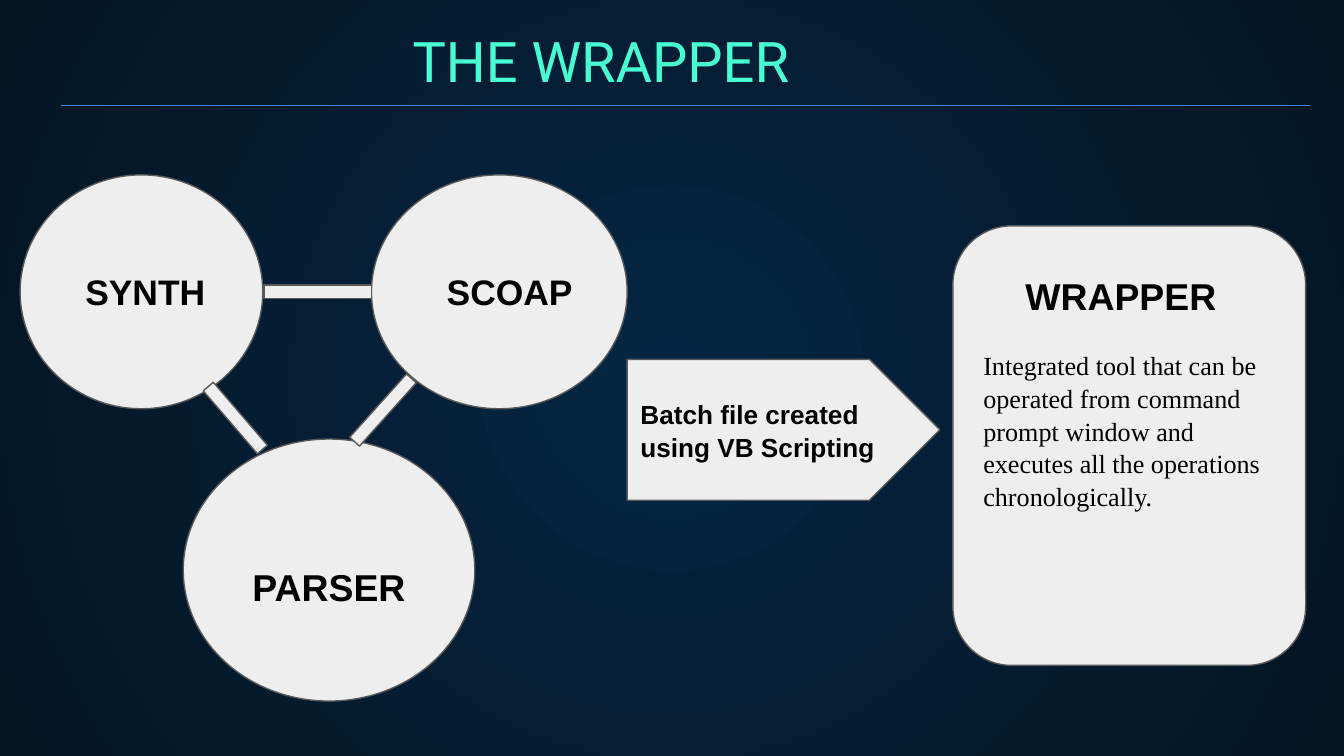
from lxml import etree
from pptx import Presentation
from pptx.dml.color import RGBColor
from pptx.enum.shapes import MSO_CONNECTOR, MSO_SHAPE
from pptx.enum.text import MSO_ANCHOR, PP_ALIGN
from pptx.oxml.ns import qn
from pptx.util import Pt

MINT = RGBColor(0x48, 0xFF, 0xD4)
BLUE = RGBColor(0x4A, 0x86, 0xE8)
NAVY = RGBColor(0x05, 0x26, 0x43)
MIDNIGHT = RGBColor(0x04, 0x15, 0x23)
PALE = RGBColor(0xEE, 0xEE, 0xEE)
GREY = RGBColor(0x59, 0x59, 0x59)
BLACK = RGBColor(0, 0, 0)
INSET = 7.2


def paint_background(slide):
    """Fill the slide with a gradient that darkens outward from the centre."""
    fill = slide.background.fill
    fill.gradient()
    for stop, color in zip(fill.gradient_stops, (NAVY, MIDNIGHT)):
        stop.color.rgb = color
    linear = next(slide.background._cSld.iter(qn("a:lin")))
    radial = etree.Element(qn("a:path"), path="circle")
    etree.SubElement(radial, qn("a:fillToRect"), l="50000", t="50000", r="50000", b="50000")
    linear.getparent().replace(linear, radial)


def format_paragraph(paragraph, size, font_name="Arial", bold=True, color=BLACK,
                     align=PP_ALIGN.LEFT):
    """Set the alignment of a paragraph and the font of its runs."""
    paragraph.alignment = align
    for run in paragraph.runs:
        run.font.name = font_name
        run.font.size = Pt(size)
        run.font.bold = bold
        run.font.color.rgb = color


def set_margins(text_frame, left=INSET, top=INSET, right=INSET, bottom=INSET):
    """Set the four insets of a text frame and let its text wrap."""
    text_frame.margin_left, text_frame.margin_top = Pt(left), Pt(top)
    text_frame.margin_right, text_frame.margin_bottom = Pt(right), Pt(bottom)
    text_frame.word_wrap = True


def set_title(slide, text):
    """Place and format the title placeholder."""
    title = slide.shapes.title
    title.left, title.top, title.width, title.height = Pt(32.5), Pt(14), Pt(673), Pt(40)
    text_frame = title.text_frame
    text_frame.text = text
    text_frame.vertical_anchor = MSO_ANCHOR.TOP
    set_margins(text_frame, 188.5, 0, 0, 0)
    format_paragraph(text_frame.paragraphs[0], 30, "Roboto", False, MINT)


def add_rule(slide, left, right, y):
    """Draw the thin line under the title."""
    rule = slide.shapes.add_connector(MSO_CONNECTOR.STRAIGHT, Pt(left), Pt(y), Pt(right), Pt(y))
    rule.line.color.rgb = BLUE
    rule.line.width = Pt(0.5)
    etree.SubElement(rule._element.spPr, qn("a:effectLst"))


def add_panel(slide, kind, left, top, width, height):
    """Add a pale shape with a thin grey outline."""
    shape = slide.shapes.add_shape(kind, Pt(left), Pt(top), Pt(width), Pt(height))
    shape.shadow.inherit = False
    shape.fill.solid()
    shape.fill.fore_color.rgb = PALE
    shape.line.color.rgb = GREY
    shape.line.width = Pt(0.75)
    shape.text_frame.vertical_anchor = MSO_ANCHOR.MIDDLE
    set_margins(shape.text_frame)
    return shape


def add_tool(slide, label, size, left, top, width, height, shift_right=0, shift_down=0):
    """Add a labelled circle, its label moved off centre by the given shifts."""
    text_frame = add_panel(slide, MSO_SHAPE.OVAL, left, top, width, height).text_frame
    set_margins(text_frame, left=INSET + 2 * shift_right, top=INSET + 2 * shift_down)
    text_frame.text = label
    format_paragraph(text_frame.paragraphs[0], size, align=PP_ALIGN.CENTER)


def add_link(slide, left, top, width, rotation):
    """Add a bar that joins two circles."""
    link = add_panel(slide, MSO_SHAPE.MATH_MINUS, left, top, width, 30)
    link.adjustments[0] = 0.235
    link.rotation = rotation


def add_step(slide, text):
    """Add the arrow-shaped box that leads to the wrapper."""
    step = add_panel(slide, MSO_SHAPE.PENTAGON, 336, 192.5, 167.5, 75.5)
    step.text_frame.text = text
    paragraph = step.text_frame.paragraphs[0]
    paragraph.line_spacing = 1.05
    format_paragraph(paragraph, 14)


def add_wrapper(slide, heading, description):
    """Add the rounded card with its heading and description."""
    card = add_panel(slide, MSO_SHAPE.ROUNDED_RECTANGLE, 510.5, 121, 189, 235.5)
    text_frame = card.text_frame
    text_frame.vertical_anchor = MSO_ANCHOR.TOP
    set_margins(text_frame, top=16)
    text_frame.text = heading
    heading_paragraph = text_frame.paragraphs[0]
    format_paragraph(heading_paragraph, 20)
    heading_paragraph._p.get_or_add_pPr().set("indent", str(Pt(22.5)))
    body_paragraph = text_frame.add_paragraph()
    body_paragraph.text = description
    body_paragraph.space_before = Pt(16)
    body_paragraph.line_spacing = 1.05
    format_paragraph(body_paragraph, 14, "Times New Roman", False)


def main():
    """Build the slide and save it."""
    presentation = Presentation()
    presentation.slide_width, presentation.slide_height = Pt(720), Pt(405)
    slide = presentation.slides.add_slide(presentation.slide_layouts[5])
    paint_background(slide)
    set_title(slide, "THE WRAPPER")
    add_rule(slide, 32.5, 702, 56.5)
    add_tool(slide, "SYNTH", 19, 10.8, 93.7, 130, 125.3, shift_right=2)
    add_tool(slide, "PARSER", 20, 98.2, 235.2, 156.2, 140.4, shift_down=9)
    add_tool(slide, "SCOAP", 19, 199, 93.7, 137, 125.3, shift_right=5.5)
    add_link(slide, 131, 141.3, 78.5, 0)
    add_link(slide, 95.8, 209, 60.5, 49.3)
    add_link(slide, 174.2, 204.7, 62, 311.9)
    add_step(slide, "Batch file created using VB Scripting")
    add_wrapper(slide, "WRAPPER",
                "Integrated tool that can be operated from command prompt window "
                "and executes all the operations chronologically.")
    presentation.save("out.pptx")


if __name__ == "__main__":
    main()
